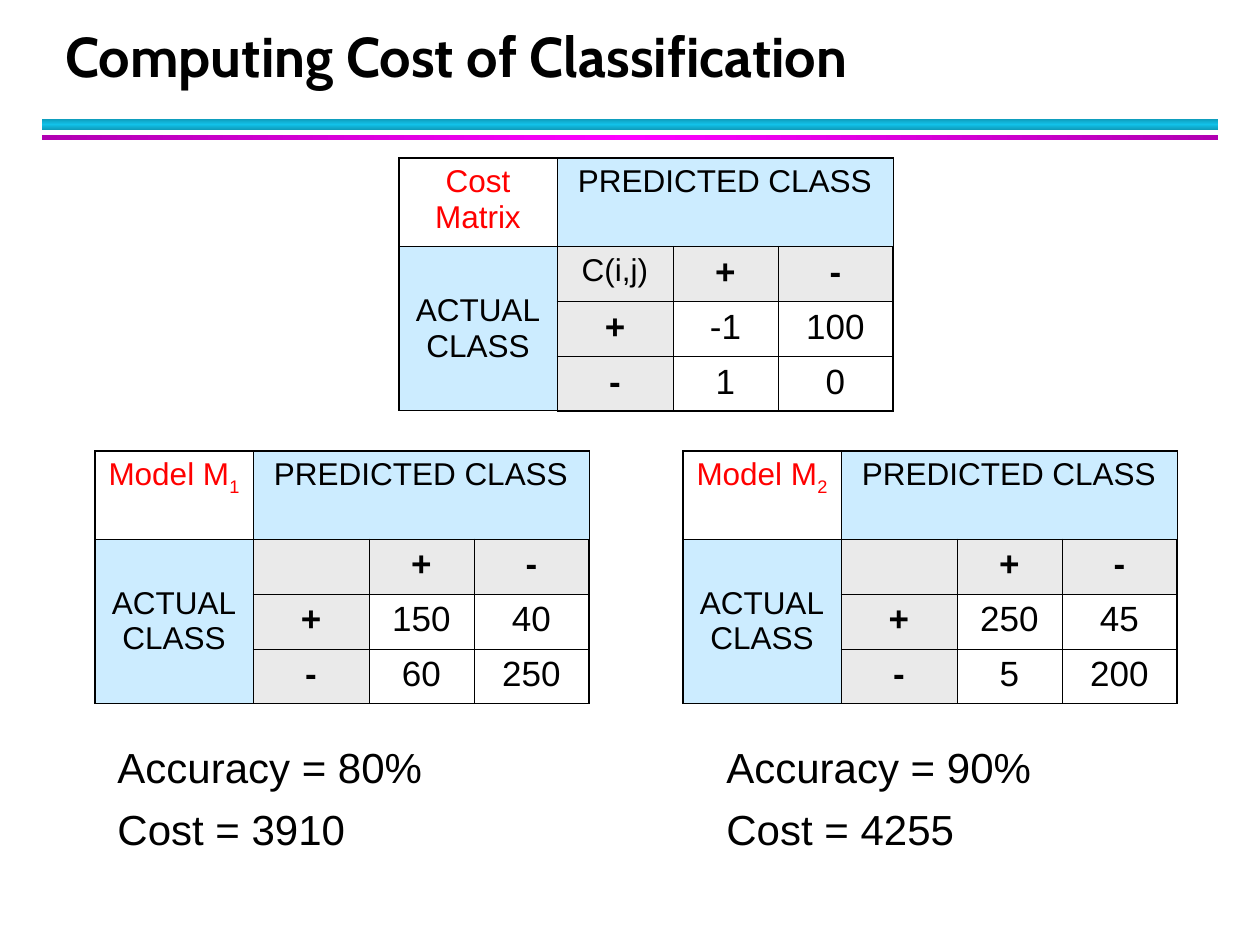
from copy import deepcopy

from lxml.etree import SubElement
from pptx import Presentation
from pptx.dml.color import RGBColor
from pptx.enum.shapes import MSO_SHAPE
from pptx.enum.text import MSO_ANCHOR as Anchor, PP_ALIGN as Align
from pptx.oxml.ns import qn
from pptx.util import Emu, Inches, Pt

rgb = RGBColor.from_string
BLACK, RED, BLUE, GREY = "000000", "FF0000", "CCECFF", "EAEAEA"


def px(length):
    return Emu(round(length * Inches(1) / 126))


def write(frame, text, size=18, font="Arial", color=BLACK, bold=False,
          align=Align.LEFT, before=0, after=0, line=None, subscript=""):
    """Fill a text frame: newline starts a paragraph, vertical tab a line."""
    frame.word_wrap = True
    for number, content in enumerate(text.split("\n")):
        paragraph = frame.add_paragraph() if number else frame.paragraphs[0]
        paragraph.text = content
        paragraph.alignment = align
        paragraph.space_before, paragraph.space_after = Pt(before), Pt(after)
        if line:
            paragraph.line_spacing = Pt(line)
        if subscript:
            lowered = paragraph.add_run()
            lowered.text = subscript
            lowered.font._element.set("baseline", "-25000")
        for run in paragraph.runs:
            run.font.size, run.font.name = Pt(size), font
            run.font.bold, run.font.color.rgb = bold, rgb(color)


deck = Presentation()
deck.slide_width, deck.slide_height = px(1260), px(945)
slide = deck.slides.add_slide(deck.slide_layouts[6])
shapes = slide.shapes

# Rules under the title
for top, height, edge, middle, angle in [
    (119, 11, "0E9BBA", "12C2E9", 90),
    (135, 5, "B200B2", "FF00FF", 0),
]:
    rule = shapes.add_shape(MSO_SHAPE.RECTANGLE, px(42), px(top), px(1176), px(height))
    rule.shadow.inherit = False
    rule.line.fill.background()
    rule.fill.gradient()
    rule.fill.gradient_angle = angle
    stops = rule._element.spPr.find(".//" + qn("a:gsLst"))
    stops.insert(1, deepcopy(stops[0]))
    for stop, color, position in zip(rule.fill.gradient_stops, (edge, middle, edge), (0, 0.5, 1)):
        stop.color.rgb, stop.position = rgb(color), position

title = shapes.add_textbox(px(53), px(21), px(1142), px(74)).text_frame
title.vertical_anchor = Anchor.BOTTOM
write(title, "Computing Cost of Classification", size=32, font="Cabin", bold=True, line=36)

# Cost matrix and the two confusion matrices
column_widths = (158, 116, 105, 115)
row_heights = (88, 55, 55, 54)
matrices = [
    (399, 158, "Cost\vMatrix", "", "C(i,j)", ("-1", "100"), ("1", "0")),
    (95, 451, "Model M", "1", "", ("150", "40"), ("60", "250")),
    (683, 451, "Model M", "2", "", ("250", "45"), ("5", "200")),
]
for left, top, name, index, corner, positives, negatives in matrices:
    matrix = shapes.add_table(4, 4, px(left), px(top),
                              px(sum(column_widths)), px(sum(row_heights))).table
    matrix.first_row = matrix.horz_banding = False
    for column, width in zip(matrix.columns, column_widths):
        column.width = px(width)
    for row, height in zip(matrix.rows, row_heights):
        row.height = px(height)
    matrix.cell(0, 1).merge(matrix.cell(0, 3))
    matrix.cell(1, 0).merge(matrix.cell(3, 0))

    labels = [
        (name, "PREDICTED CLASS", "", ""),
        ("ACTUAL\vCLASS", corner, "+", "-"),
        ("", "+", *positives),
        ("", "-", *negatives),
    ]
    for r, row_labels in enumerate(labels):
        for c, label in enumerate(row_labels):
            cell = matrix.cell(r, c)
            borders = cell._tc.get_or_add_tcPr()
            for side, outer in (("L", c == 0), ("R", c == 3), ("T", r == 0), ("B", r == 3)):
                border = SubElement(borders, qn(f"a:ln{side}"), w=str(Pt(1.08 if outer else 0.45)))
                ink = SubElement(border, qn("a:solidFill"))
                SubElement(ink, qn("a:srgbClr"), val=BLACK)
            if r == c == 0 or (r > 1 and c > 1):
                cell.fill.background()
            else:
                cell.fill.solid()
                cell.fill.fore_color.rgb = rgb(BLUE if r == 0 or c == 0 else GREY)
            if c == 0 and r > 0:
                cell.vertical_anchor = Anchor.MIDDLE
            if label:
                heading = r == 0 or c == 0 or label == corner
                write(cell.text_frame, label, size=18 if heading else 20,
                      color=RED if r == c == 0 else BLACK,
                      bold=label in ("+", "-"), align=Align.CENTER,
                      before=2.2 if heading else 2.5, after=4,
                      subscript=index if r == c == 0 else "")

for left, accuracy, cost in [(105, "80%", 3910), (714, "90%", 4255)]:
    summary = shapes.add_textbox(px(left), px(735), px(420), px(136)).text_frame
    write(summary, f"Accuracy = {accuracy}\nCost = {cost}", size=24, before=3, after=4)

deck.save("out.pptx")
